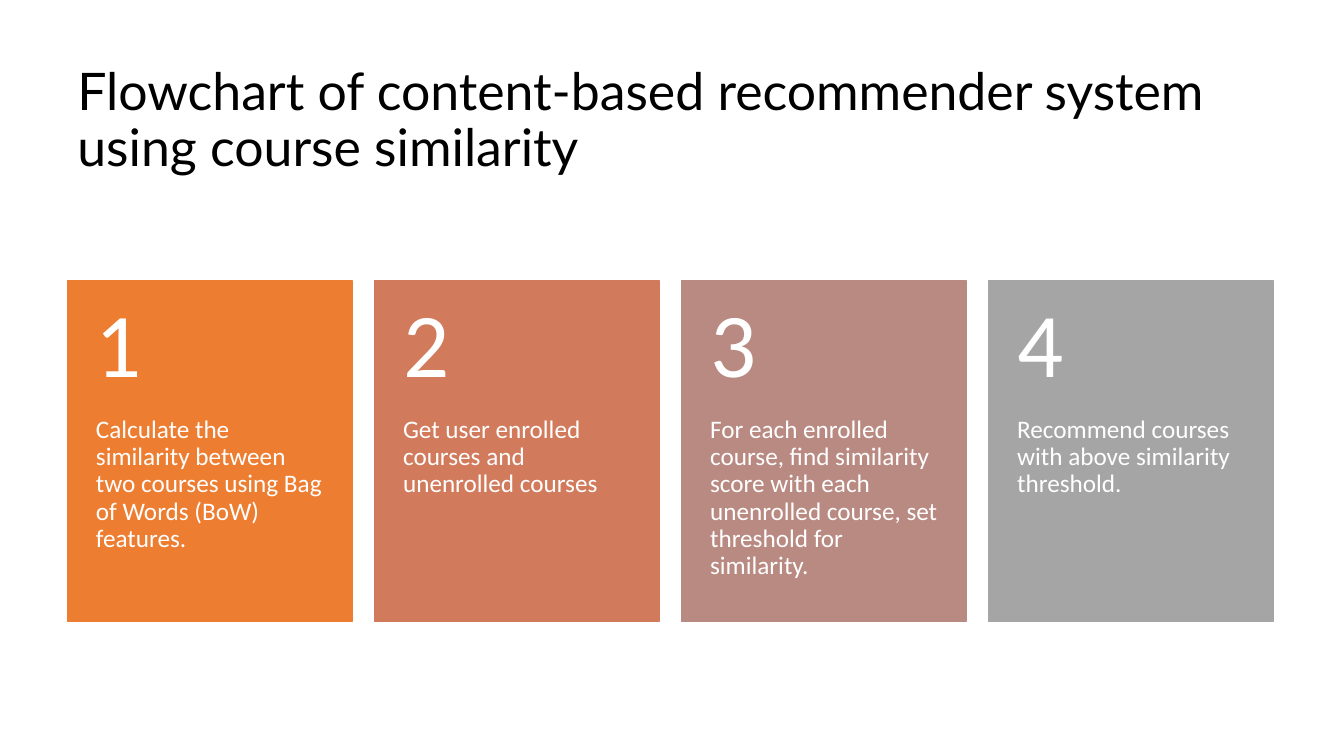
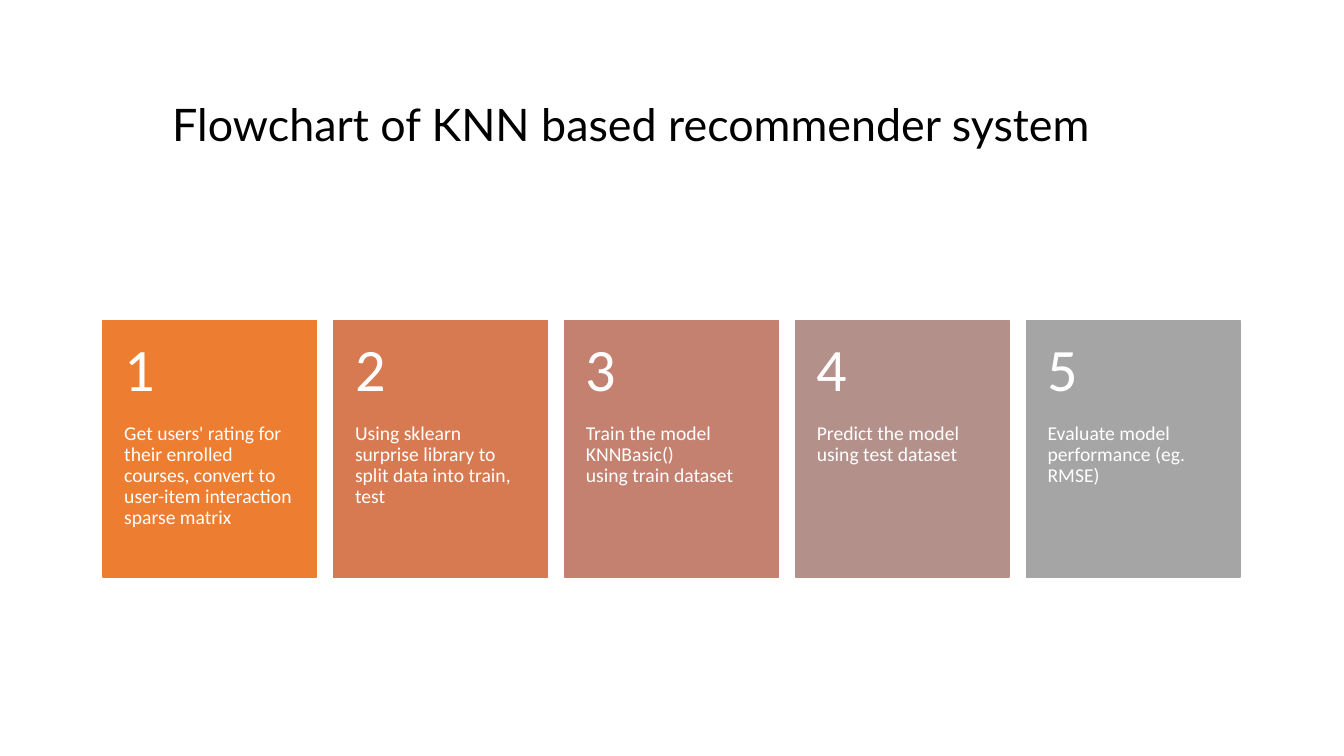
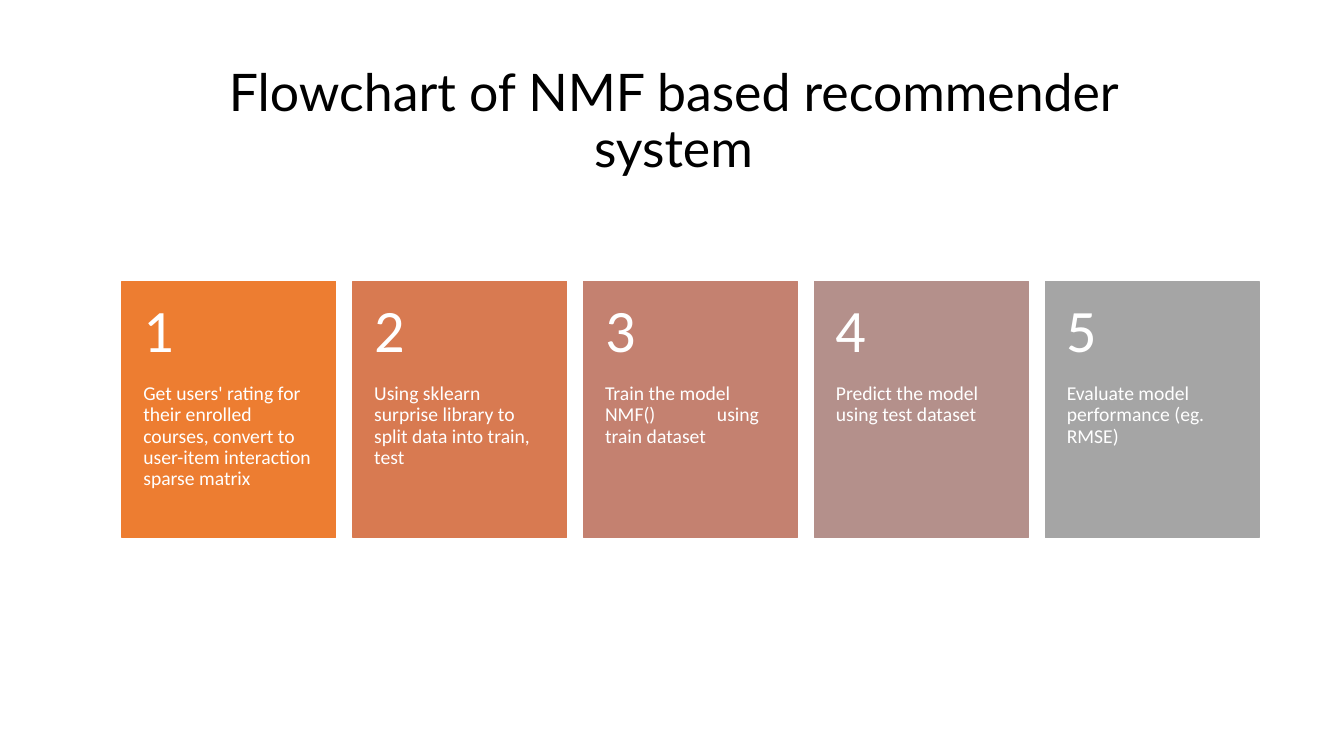
from dataclasses import dataclass

from lxml import etree
from pptx import Presentation
from pptx.dml.color import RGBColor
from pptx.enum import shapes, text
from pptx.oxml import ns
from pptx.util import Inches, Pt


@dataclass(frozen=True)
class Theme:
    title_font: str = "Lato"
    body_font: str = "Calibri"
    ink: str = "000000"
    paper: str = "FFFFFF"
    four_steps: tuple = ("ED7D31", "D17B5C", "B98A82", "A5A5A5")
    five_steps: tuple = ("ED7D31", "D87A51", "C48170", "B4908B", "A5A5A5")
    title_size: int = 37
    small_title_size: int = 32
    large_card: tuple = (65, 18)
    small_card: tuple = (43, 14)
    line_spacing: float = 0.9


class Deck:
    def __init__(self, theme):
        self.theme = theme
        self.presentation = Presentation()
        self.presentation.slide_width = Inches(13.33)
        self.presentation.slide_height = Inches(7.5)
        self.slide = None

    def new_slide(self):
        self.slide = self.presentation.slides.add_slide(self.presentation.slide_layouts[6])

    def label(self, words, box, font, size, color, insets=(0.1, 0.05, 0.1, 0.05),
              anchor=text.MSO_ANCHOR.TOP, align=text.PP_ALIGN.LEFT, tab=None):
        frame = self.slide.shapes.add_textbox(*map(Inches, box)).text_frame
        frame.word_wrap = True
        frame.vertical_anchor = anchor
        (frame.margin_left, frame.margin_top,
         frame.margin_right, frame.margin_bottom) = map(Inches, insets)
        paragraph = frame.paragraphs[0]
        paragraph.text = words
        paragraph.alignment = align
        paragraph.line_spacing = self.theme.line_spacing
        if tab:
            stops = etree.SubElement(paragraph._p.get_or_add_pPr(), ns.qn("a:tabLst"))
            etree.SubElement(stops, ns.qn("a:tab"), pos=str(Inches(tab)), algn="l")
        paragraph.font.name = font
        paragraph.font.size = Pt(size)
        paragraph.font.color.rgb = RGBColor.from_string(color)

    def title(self, words, box, size, **layout):
        self.label(words, box, self.theme.title_font, size, self.theme.ink, **layout)

    def card(self, number, words, left, top, width, color, sizes):
        height = 1.2 * width
        head = 0.4 * height
        side = 0.1 * width
        number_size, words_size = sizes
        panel = self.slide.shapes.add_shape(
            shapes.MSO_SHAPE.RECTANGLE, *map(Inches, (left, top, width, height)))
        panel.shadow.inherit = False
        panel.fill.solid()
        panel.fill.fore_color.rgb = RGBColor.from_string(color)
        panel.line.color.rgb = RGBColor.from_string(color)
        panel.line.width = Pt(1)
        self.label(words, (left, top + head, width, height - head),
                   self.theme.body_font, words_size, self.theme.paper,
                   insets=(side, 0, side, 0.36), tab=1.11 if "\t" in words else None)
        self.label(str(number), (left, top, width, head),
                   self.theme.body_font, number_size, self.theme.paper,
                   insets=(side, 0.18, side, 0.18), anchor=text.MSO_ANCHOR.MIDDLE)

    def steps(self, entries, left, top, width, colors, sizes):
        pitch = 1.08 * width
        for index, (words, color) in enumerate(zip(entries, colors)):
            self.card(index + 1, words, left + index * pitch, top, width, color, sizes)


def model_steps(training):
    return (
        "Get users' rating for their enrolled courses, convert to user-item interaction sparse matrix",
        "Using sklearn surprise library to split data into train, test",
        training,
        "Predict the model using test dataset",
        "Evaluate model performance (eg. RMSE)",
    )


def main():
    theme = Theme()
    deck = Deck(theme)

    deck.new_slide()
    deck.title("Flowchart of content-based recommender system using course similarity",
               (0.67, 0.6, 11.97, 1.24), theme.title_size)
    deck.steps((
        "Calculate the similarity between two courses using Bag of Words (BoW) features.",
        "Get user enrolled courses and unenrolled courses",
        "For each enrolled course, find similarity score with each unenrolled course, "
        "set threshold for similarity.",
        "Recommend courses with above similarity threshold.",
    ), 0.67, 2.78, 2.82, theme.four_steps, theme.large_card)

    deck.new_slide()
    deck.title("Flowchart of KNN based recommender system",
               (1.61, 0.97, 10.12, 0.86), theme.small_title_size)
    deck.steps(model_steps("Train the model KNNBasic()\vusing train dataset"),
               1.02, 3.18, 2.12, theme.five_steps, theme.small_card)

    deck.new_slide()
    deck.title("Flowchart of NMF based recommender system",
               (1.67, 0.6, 10.02, 1.24), theme.title_size,
               anchor=text.MSO_ANCHOR.MIDDLE, align=text.PP_ALIGN.CENTER)
    deck.steps(model_steps("Train the model NMF()\tusing train dataset"),
               1.21, 2.79, 2.12, theme.five_steps, theme.small_card)

    deck.presentation.save("out.pptx")


if __name__ == "__main__":
    main()
